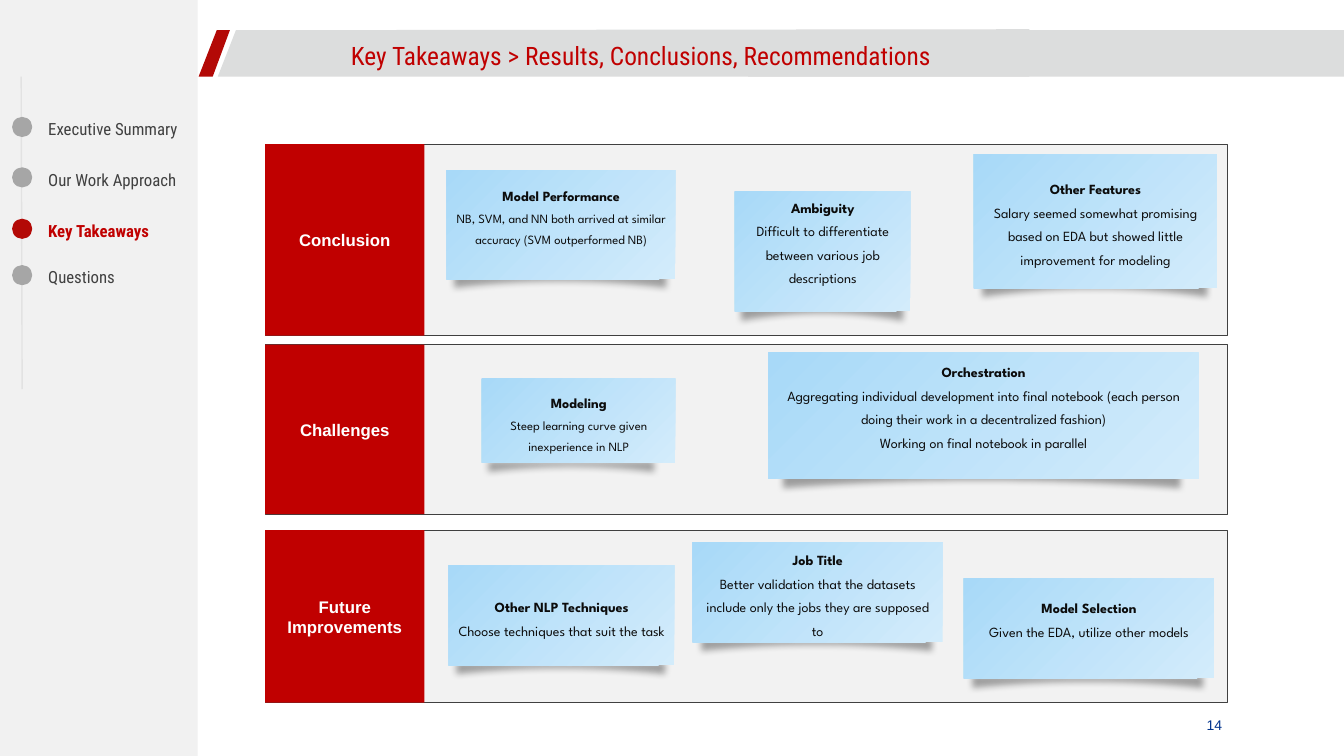
from dataclasses import dataclass

from lxml import etree
from pptx import Presentation
from pptx.dml.color import RGBColor
from pptx.enum.shapes import MSO_CONNECTOR, MSO_SHAPE
from pptx.enum.text import MSO_ANCHOR, MSO_AUTO_SIZE, PP_ALIGN
from pptx.oxml import parse_xml
from pptx.oxml.ns import nsdecls, qn
from pptx.util import Inches, Pt

TITLE = "Key Takeaways > Results, Conclusions, Recommendations"
PAGE = "14"
AGENDA = [("Executive Summary", 1.13), ("Our Work Approach", 1.63),
          ("Key Takeaways", 2.14), ("Questions", 2.6)]
CURRENT = "Key Takeaways"

# Section: label, top, height, notes.
# Note: heading, lines, box (inches), body size, lines kept free below, shadow share.
SECTIONS = [
    ("Conclusion", 1.43, 1.9, [
        ("Model Performance",
         ["NB, SVM, and NN both arrived at similar accuracy (SVM outperformed NB)"],
         (4.43, 1.69, 2.27, 1.08), 9, 1, 0.92),
        ("Ambiguity",
         ["Difficult to differentiate between various job descriptions"],
         (7.29, 1.9, 1.74, 1.19), 10, 1, 0.92),
        ("Other Features",
         ["Salary seemed somewhat promising based on EDA but showed little "
          "improvement for modeling"],
         (9.66, 1.53, 2.41, 1.33), 10, 0, 0.92),
    ]),
    ("Challenges", 3.42, 1.68, [
        ("Modeling",
         ["Steep learning curve given inexperience in NLP"],
         (4.78, 3.76, 1.92, 0.83), 9, 0, 0.85),
        ("Orchestration",
         ["Aggregating individual development into final notebook (each person "
          "doing their work in a decentralized fashion)",
          "Working on final notebook in parallel"],
         (7.62, 3.5, 4.27, 1.25), 10, 1, 0.92),
    ]),
    ("Future Improvements", 5.26, 1.71, [
        ("Other NLP Techniques",
         ["Choose techniques that suit the task"],
         (4.45, 5.61, 2.24, 0.99), 10, 0, 0.92),
        ("Job Title",
         ["Better validation that the datasets include only the jobs they are "
          "supposed to"],
         (6.87, 5.38, 2.48, 0.99), 10, 0, 0.92),
        ("Model Selection",
         ["Given the EDA, utilize other models"],
         (9.56, 5.74, 2.48, 0.99), 10, 1, 0.92),
    ]),
]

SLIDE_W, SLIDE_H = 13.33, 7.5
PANEL_LEFT, PANEL_W, LABEL_W = 2.63, 9.54, 1.58
DOT_LEFT, DOT = 0.12, 0.2
BAND = [(2.16, 0.76), (10.21, 0.76), (10.21, 0.29), (2.34, 0.3)]
SLASH = [(2.15, 0.3), (2.28, 0.3), (2.11, 0.76), (1.97, 0.76)]
NOTE_INSETS = (0.1, 0.05, 0.1, 0.05)
LINE_PITCH = 0.0235  # inches of one note line per point of type


@dataclass(frozen=True)
class Theme:
    head: str = "Roboto Condensed"
    body: str = "Arial"
    note: str = "League Spartan"
    red: str = "C00000"
    dark_red: str = "B30906"
    sidebar: str = "F1F1F1"
    band: str = "DCDDDD"
    panel: str = "F2F2F2"
    dot: str = "A6A6A6"
    rail: str = "E2E2E2"
    text: str = "404040"
    ink: str = "0C0C0C"
    white: str = "FFFFFF"
    page: str = "00338D"
    fold: str = "007C92"
    note_from: str = "A8D9F8"
    note_to: str = "D3ECFB"
    title_size: float = 18.1
    label_size: float = 12
    small_size: float = 10


THEME = Theme()


def paint(shape, color, outline=None):
    shape.shadow.inherit = False
    shape.fill.solid()
    shape.fill.fore_color.rgb = RGBColor.from_string(color)
    if outline:
        shape.line.color.rgb = RGBColor.from_string(outline)
        shape.line.width = Pt(0.5)
    else:
        shape.line.fill.background()


def add_block(slide, kind, box, color, outline=None):
    block = slide.shapes.add_shape(kind, *map(Inches, box))
    paint(block, color, outline)
    return block


def add_outline(slide, points, color):
    corners = [(Inches(x), Inches(y)) for x, y in points]
    builder = slide.shapes.build_freeform(*corners[0])
    builder.add_line_segments(corners[1:], close=True)
    outline = builder.convert_to_shape()
    paint(outline, color)
    return outline


def write(shape, lines, insets=(0, 0, 0, 0), anchor=MSO_ANCHOR.MIDDLE,
          align=PP_ALIGN.LEFT, spacing=None):
    """Fill a shape with (text, font, size, colour, bold) lines."""
    frame = shape.text_frame
    left, top, right, bottom = map(Inches, insets)
    frame_format = {"word_wrap": True, "auto_size": MSO_AUTO_SIZE.NONE,
                    "vertical_anchor": anchor, "margin_left": left,
                    "margin_top": top, "margin_right": right, "margin_bottom": bottom}
    for key, value in frame_format.items():
        setattr(frame, key, value)
    for index, (text, font, size, color, bold) in enumerate(lines):
        paragraph = frame.add_paragraph() if index else frame.paragraphs[0]
        paragraph.alignment = align
        paragraph.line_spacing = spacing
        run = paragraph.add_run()
        run.text = text
        for key, value in {"name": font, "size": Pt(size), "bold": bold}.items():
            setattr(run.font, key, value)
        run.font.color.rgb = RGBColor.from_string(color)


def add_fold(slide, box, share):
    """Draw the curved strip whose shadow lifts the corners of a note."""
    left, top, width, height = box
    x, y, w, h = left + 0.036 * width, top + 0.87 * height, share * width, 0.12 * height
    arc = [(x + w * (1 - step / 24), y + h * (1 - 2 * (step / 24) * (1 - step / 24)))
           for step in range(25)]
    fold = add_outline(slide, [(x, y), (x + w, y)] + arc, THEME.fold)
    effects = fold._element.spPr.find(qn("a:effectLst"))
    effects.append(parse_xml(
        f'<a:outerShdw {nsdecls("a")} blurRad="{Pt(5)}" dist="{Pt(7)}" dir="5400000" '
        'algn="t" rotWithShape="0"><a:srgbClr val="000000"><a:alpha val="34000"/>'
        '</a:srgbClr></a:outerShdw>'))


def shade(note):
    """Swap the solid fill for a gradient spreading from the top left corner."""
    properties = note._element.spPr
    solid = properties.find(qn("a:solidFill"))
    properties.replace(solid, parse_xml(
        f'<a:gradFill {nsdecls("a")} rotWithShape="1"><a:gsLst>'
        f'<a:gs pos="0"><a:srgbClr val="{THEME.note_from}"/></a:gs>'
        f'<a:gs pos="100000"><a:srgbClr val="{THEME.note_to}"/></a:gs></a:gsLst>'
        '<a:path path="circle"><a:fillToRect r="100000" b="100000"/></a:path>'
        '</a:gradFill>'))


def add_note(slide, heading, body, box, size, free_lines, share):
    add_fold(slide, box, share)
    note = add_block(slide, MSO_SHAPE.RECTANGLE, box, THEME.note_from)
    shade(note)
    left, top, right, bottom = NOTE_INSETS
    lines = [(heading, THEME.note, THEME.small_size, THEME.ink, True)]
    lines += [(text, THEME.note, size, THEME.ink, False) for text in body]
    write(note, lines, (left, top, right, bottom + free_lines * size * LINE_PITCH),
          align=PP_ALIGN.CENTER, spacing=1.4)


def add_header(slide):
    add_block(slide, MSO_SHAPE.RECTANGLE, (0, 0, 1.96, SLIDE_H), THEME.sidebar)
    add_outline(slide, BAND, THEME.band)
    add_outline(slide, SLASH, THEME.dark_red)
    add_block(slide, MSO_SHAPE.RECTANGLE, (7.42, 0.3, SLIDE_W - 7.42, 0.46), THEME.band)
    title = slide.shapes.title
    title.left, title.top, title.width, title.height = map(Inches, (3.47, 0.39, 8.19, 0.32))
    write(title, [(TITLE, THEME.head, THEME.title_size, THEME.red, False)],
          (0.01, 0.05, 0.1, 0.05))
    slide.shapes._spTree.append(title._element)


def add_agenda(slide):
    rail = slide.shapes.add_connector(
        MSO_CONNECTOR.STRAIGHT, *map(Inches, (0.21, 0.76, 0.22, 3.86)))
    rail.line.color.rgb = RGBColor.from_string(THEME.rail)
    rail.line.width = Pt(1)
    etree.SubElement(rail._element.spPr, qn("a:effectLst"))
    for topic, top in AGENDA:
        active = topic == CURRENT
        add_block(slide, MSO_SHAPE.OVAL, (DOT_LEFT, top + 0.03, DOT, DOT),
                  THEME.dark_red if active else THEME.dot)
        entry = slide.shapes.add_textbox(*map(Inches, (0.38, top, 1.57, 0.3)))
        write(entry, [(topic, THEME.head, THEME.label_size,
                       THEME.red if active else THEME.text, active)],
              NOTE_INSETS, MSO_ANCHOR.TOP)


def main():
    deck = Presentation()
    deck.slide_width, deck.slide_height = Inches(SLIDE_W), Inches(SLIDE_H)
    slide = deck.slides.add_slide(deck.slide_layouts[5])
    add_header(slide)
    add_agenda(slide)
    page = slide.shapes.add_textbox(*map(Inches, (11.87, 7.11, 0.38, 0.17)))
    write(page, [(PAGE, THEME.body, THEME.small_size, THEME.page, False)],
          (0.1, 0, 0, 0), MSO_ANCHOR.TOP)
    for name, top, height, notes in SECTIONS:
        add_block(slide, MSO_SHAPE.RECTANGLE, (PANEL_LEFT, top, PANEL_W, height),
                  THEME.panel, THEME.text)
        label = add_block(slide, MSO_SHAPE.RECTANGLE,
                          (PANEL_LEFT, top, LABEL_W, height), THEME.red)
        write(label, [(name, THEME.body, THEME.label_size, THEME.white, True)],
              align=PP_ALIGN.CENTER)
        for note in notes:
            add_note(slide, *note)
    deck.save("out.pptx")


if __name__ == "__main__":
    main()
